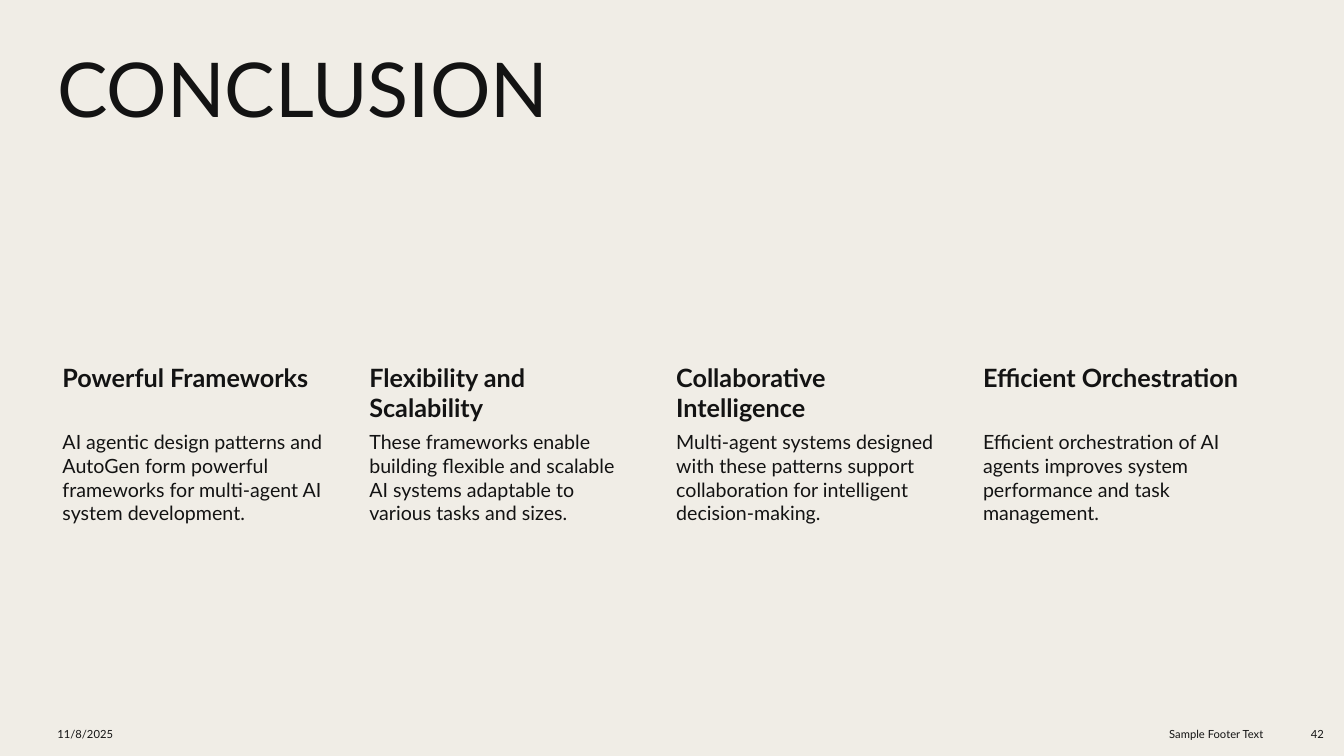
from pptx import Presentation
from pptx.dml.color import RGBColor
from pptx.enum.text import MSO_ANCHOR, PP_ALIGN
from pptx.util import Inches, Pt

INK = RGBColor(0x13, 0x13, 0x13)
PAPER = RGBColor(0xF0, 0xED, 0xE6)
FONT = "Lato"
LEFT = 0.47
LAST = 9.6
WIDTH = 2.77

POINTS = [
    ("Powerful Frameworks",
     "AI agentic design patterns and AutoGen form powerful frameworks "
     "for multi-agent AI system development."),
    ("Flexibility and Scalability",
     "These frameworks enable building flexible and scalable AI systems "
     "adaptable to various tasks and sizes."),
    ("Collaborative Intelligence",
     "Multi-agent systems designed with these patterns support "
     "collaboration for intelligent decision-making."),
    ("Efficient Orchestration",
     "Efficient orchestration of AI agents improves system performance "
     "and task management."),
]
STEP = (LAST - LEFT) / (len(POINTS) - 1)


def write(frame, text, size, bold=False, align=PP_ALIGN.LEFT, line=1.0, after=0):
    para = frame.paragraphs[0]
    para.alignment = align
    para.line_spacing = line
    para.space_after = Pt(after)
    run = para.add_run()
    run.text = text
    font = run.font
    font.name = FONT
    font.size = Pt(size)
    font.bold = bold
    font.color.rgb = INK


class Deck:
    def __init__(self, slide):
        self.slide = slide
        fill = slide.background.fill
        fill.solid()
        fill.fore_color.rgb = PAPER

    def text(self, box, text, size, inset=(0.1, 0.05, 0.1, 0.05),
             anchor=MSO_ANCHOR.TOP, **style):
        frame = self.slide.shapes.add_textbox(*map(Inches, box)).text_frame
        frame.word_wrap = True
        frame.vertical_anchor = anchor
        (frame.margin_left, frame.margin_top,
         frame.margin_right, frame.margin_bottom) = map(Inches, inset)
        write(frame, text, size, **style)

    def title(self, text):
        self.text((LEFT, 0.47, 11.91, 1.78), text, 54, line=0.9)

    def point(self, left, head, body):
        self.text((left, 3.56, WIDTH, 0.68), head, 18,
                  inset=(0.15, 0.03, 0.03, 0.03), bold=True)
        self.text((left, 4.25, WIDTH, 2.4), body, 14,
                  inset=(0.15, 0.02, 0.02, 0.02))

    def foot(self, left, width, text, align=PP_ALIGN.RIGHT):
        self.text((left, 7.1, width, 0.37), text, 8,
                  anchor=MSO_ANCHOR.MIDDLE, align=align, after=6)


def main():
    show = Presentation()
    show.slide_width = Inches(13.33)
    show.slide_height = Inches(7.5)
    deck = Deck(show.slides.add_slide(show.slide_layouts[6]))
    deck.title("CONCLUSION")
    for i, (head, body) in enumerate(POINTS):
        deck.point(LEFT + i * STEP, head, body)
    deck.foot(LEFT, 3.11, "11/8/2025", align=PP_ALIGN.LEFT)
    deck.foot(9.72, 2.91, "Sample Footer Text")
    deck.foot(12.73, 0.5, "42")
    show.save("out.pptx")


if __name__ == "__main__":
    main()
